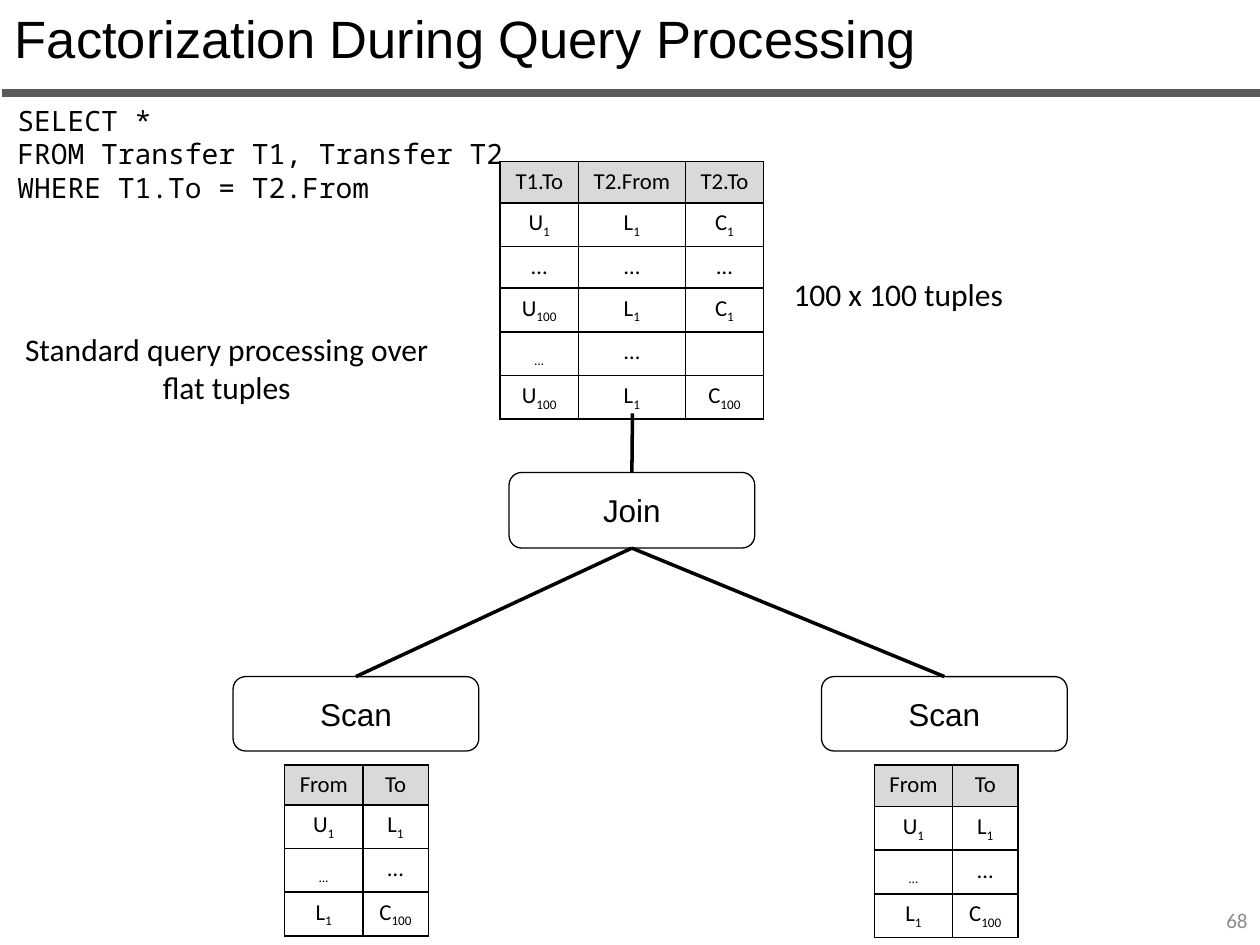
from lxml import etree
from pptx import Presentation
from pptx.dml.color import RGBColor
from pptx.enum.shapes import MSO_CONNECTOR, MSO_SHAPE
from pptx.enum.text import MSO_ANCHOR, PP_ALIGN
from pptx.oxml import parse_xml
from pptx.oxml.ns import nsdecls, qn
from pptx.util import Inches, Pt

BLACK, HEADER, RULE, MUTED = "000000", "D9D9D9", "595959", "8C8C8C"
TRANSFERS = [["From", "To"], ["U_1", "L_1"], ["_…", "…"], ["L_1", "C_100"]]
JOINED = [
    ["T1.To", "T2.From", "T2.To"],
    ["U_1", "L_1", "C_1"],
    ["…", "…", "…"],
    ["U_100", "L_1", "C_1"],
    ["_…", "…", ""],
    ["U_100", "L_1", "C_100"],
]


def rgb(color):
    return RGBColor.from_string(color)


def add_run(p, text, size, font, color=BLACK):
    r = p.add_run()
    r.text = text
    r.font.size = Pt(size)
    r.font.name = font
    r.font.color.rgb = rgb(color)
    return r


def add_text(s, box, lines, size, font, color=BLACK,
             align=PP_ALIGN.LEFT, anchor=MSO_ANCHOR.TOP):
    tf = s.shapes.add_textbox(*map(Inches, box)).text_frame
    tf.word_wrap = True
    tf.vertical_anchor = anchor
    for i, line in enumerate(lines):
        p = tf.paragraphs[0] if i == 0 else tf.add_paragraph()
        p.alignment = align
        add_run(p, line, size, font, color)


def add_operator(s, box, label):
    sp = s.shapes.add_shape(MSO_SHAPE.ROUNDED_RECTANGLE, *map(Inches, box))
    sp.shadow.inherit = False
    sp.fill.background()
    sp.line.color.rgb = rgb(BLACK)
    sp.line.width = Pt(0.75)
    tf = sp.text_frame
    tf.vertical_anchor = MSO_ANCHOR.MIDDLE
    p = tf.paragraphs[0]
    p.alignment = PP_ALIGN.CENTER
    add_run(p, label, 18, "Arial")
    return sp


def add_line(s, start, end, color=BLACK, width=2):
    line = s.shapes.add_connector(
        MSO_CONNECTOR.STRAIGHT, *map(Inches, (*start, *end)))
    line.line.color.rgb = rgb(color)
    line.line.width = Pt(width)
    etree.SubElement(line._element.spPr, qn("a:effectLst"))
    return line


def set_borders(cell):
    tcPr = cell._tc.get_or_add_tcPr()
    for i, side in enumerate(("lnL", "lnR", "lnT", "lnB")):
        tcPr.insert(i, parse_xml(
            f'<a:{side} {nsdecls("a")} w="12700"><a:solidFill>'
            f'<a:srgbClr val="{BLACK}"/></a:solidFill></a:{side}>'))


def fill_cell(cell, text, is_header):
    if is_header:
        cell.fill.solid()
        cell.fill.fore_color.rgb = rgb(HEADER)
    else:
        cell.fill.background()
    set_borders(cell)
    p = cell.text_frame.paragraphs[0]
    p.alignment = PP_ALIGN.CENTER
    p.font.size = Pt(13)
    base, _, subscript = text.partition("_")
    if base:
        add_run(p, base, 13, "Calibri").font.bold = False
    if subscript:
        r = add_run(p, subscript, 13, "Calibri")
        r._r.get_or_add_rPr().set("baseline", "-25000")


def add_tuples(s, left, top, widths, rows, header_height=0.33):
    heights = [header_height] + [0.33] * (len(rows) - 1)
    table = s.shapes.add_table(
        len(rows), len(widths), Inches(left), Inches(top),
        Inches(sum(widths)), Inches(sum(heights))).table
    table.first_row = False
    table.horz_banding = False
    for column, width in zip(table.columns, widths):
        column.width = Inches(width)
    for i, (values, height) in enumerate(zip(rows, heights)):
        table.rows[i].height = Inches(height)
        for j, value in enumerate(values):
            fill_cell(table.cell(i, j), value, i == 0)


def main():
    prs = Presentation()
    prs.slide_width, prs.slide_height = Inches(10), Inches(7.5)
    s = prs.slides.add_slide(prs.slide_layouts[6])

    add_text(s, (0.02, 0, 9.98, 0.61),
             ["Factorization During Query Processing"], 30, "Arial")
    add_line(s, (0.02, 0.74), (10.02, 0.74), RULE, 4.5)
    add_text(s, (7.67, 7.1, 2.33, 0.4), ["68"], 12, "Calibri", MUTED,
             PP_ALIGN.RIGHT, MSO_ANCHOR.MIDDLE)

    join = add_operator(s, (4.04, 3.75, 1.95, 0.6), "Join")
    scans = [add_operator(s, (left, 5.37, 1.95, 0.59), "Scan")
             for left in (1.85, 6.52)]

    add_text(s, (0.04, 0.77, 4.98, 0.91),
             ["SELECT *", "FROM Transfer T1, Transfer T2",
              "WHERE T1.To = T2.From"], 16, "Noto Sans Mono")
    add_tuples(s, 2.26, 6.07, (0.62, 0.52), TRANSFERS, 0.31)
    add_tuples(s, 6.94, 6.07, (0.62, 0.52), TRANSFERS)
    add_tuples(s, 3.97, 1.28, (0.62, 0.85, 0.62), JOINED)

    for box, note in (
            ((0.1, 2.57, 3.4, 0.71), "Standard query processing over flat tuples"),
            ((5.43, 2.13, 3.4, 0.4), "100 x 100 tuples")):
        add_text(s, box, [note], 18, "Calibri", align=PP_ALIGN.CENTER)

    for scan, x in zip(scans, (2.83, 7.49)):
        line = add_line(s, (x, 5.37), (5.02, 4.35))
        line.begin_connect(scan, 0)
        line.end_connect(join, 2)
    add_line(s, (5.02, 3.75), (5.02, 3.28)).begin_connect(join, 0)

    prs.save("out.pptx")


if __name__ == "__main__":
    main()
